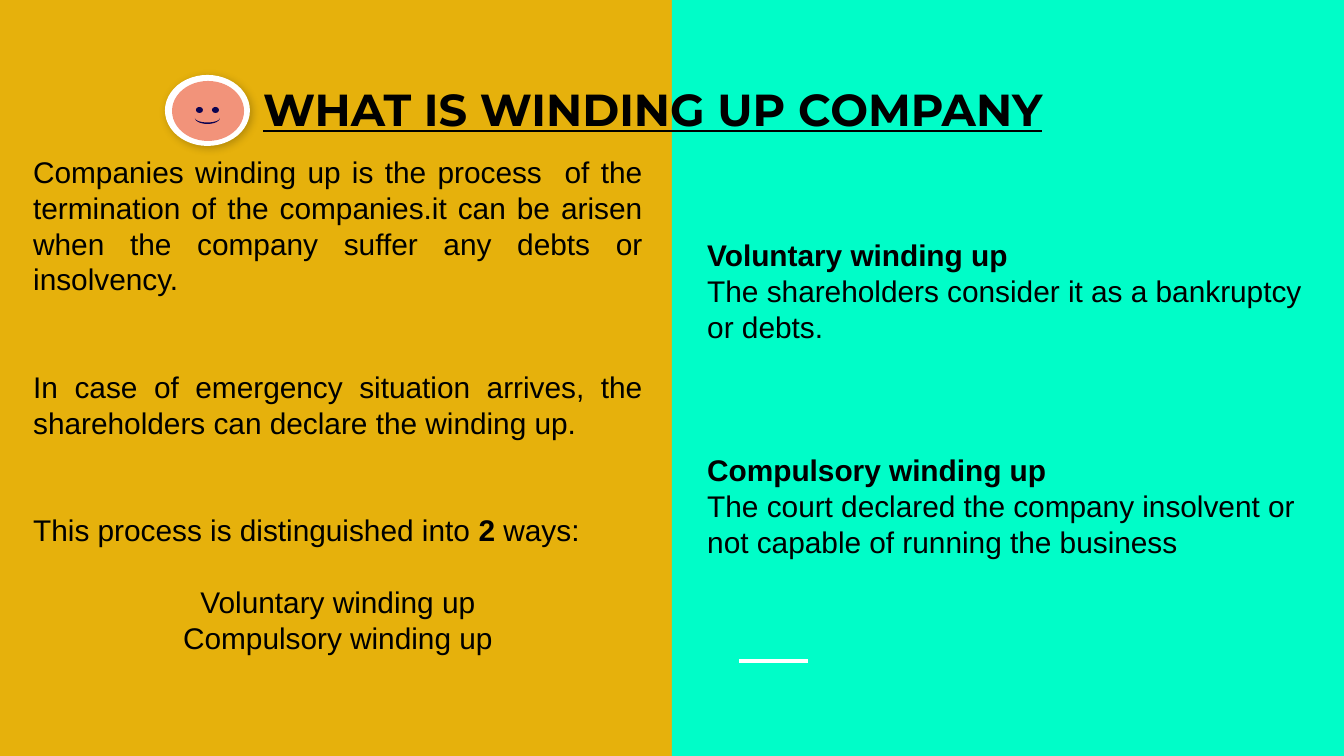
import math

import pptx
import pptx.dml.color
import pptx.enum.shapes
import pptx.enum.text
import pptx.oxml
import pptx.oxml.ns
import pptx.util

SCALE = 914400 / 134.4  # EMU per px
COLORS = {
    "gold": "E6B10C",
    "mint": "00FDC8",
    "black": "000000",
    "white": "FFFFFF",
    "salmon": "F2937A",
    "navy": "0C0351",
}
ALIGN = pptx.enum.text.PP_ALIGN
SHAPE = pptx.enum.shapes.MSO_SHAPE
LINE_PT = 19.2


def emu(*px):
    return [pptx.util.Emu(round(v * SCALE)) for v in px]


def color(name):
    return pptx.dml.color.RGBColor.from_string(COLORS[name])


class Deck:
    def __init__(self, width, height):
        self.prs = pptx.Presentation()
        self.prs.slide_width, self.prs.slide_height = emu(width, height)

    def slide(self, background):
        self.s = self.prs.slides.add_slide(self.prs.slide_layouts[6])
        self.shapes = self.s.shapes
        fill = self.s.background.fill
        fill.solid()
        fill.fore_color.rgb = color(background)

    def paint(self, sp, fill):
        sp.shadow.inherit = False
        sp.fill.solid()
        sp.fill.fore_color.rgb = color(fill)
        sp.line.fill.background()
        return sp

    def shape(self, kind, box, fill):
        return self.paint(self.shapes.add_shape(kind, *emu(*box)), fill)

    def polygon(self, points, fill):
        # Corners are kept to a tenth of a px
        points = [(round(x * 10), round(y * 10)) for x, y in points]
        builder = self.shapes.build_freeform(*points[0], scale=SCALE / 10)
        builder.add_line_segments(points[1:], close=True)
        return self.paint(builder.convert_to_shape(), fill)

    def line(self, start, end, stroke, width):
        sp = self.shapes.add_connector(
            pptx.enum.shapes.MSO_CONNECTOR.STRAIGHT, *emu(*start, *end))
        sp.line.color.rgb = color(stroke)
        sp.line.width = pptx.util.Pt(width)
        sp._element.spPr.append(pptx.oxml.parse_xml(
            f"<a:effectLst {pptx.oxml.ns.nsdecls('a')}/>"))

    def drop_shadow(self, sp):
        effects = sp._element.spPr.find(pptx.oxml.ns.qn("a:effectLst"))
        effects.append(pptx.oxml.parse_xml(
            f'<a:outerShdw {pptx.oxml.ns.nsdecls("a")} blurRad="57150" '
            'dist="19050" dir="2940000" algn="bl" rotWithShape="0">'
            f'<a:srgbClr val="{COLORS["black"]}"><a:alpha val="21000"/>'
            '</a:srgbClr></a:outerShdw>'))

    def text_frame(self, box, wrap):
        tf = self.shapes.add_textbox(*emu(*box)).text_frame
        tf.word_wrap = wrap
        tf.auto_size = pptx.enum.text.MSO_AUTO_SIZE.SHAPE_TO_FIT_TEXT
        return tf

    def style(self, font, name, size):
        font.name = name
        font.size = pptx.util.Pt(size)
        font.color.rgb = color("black")

    def title(self, box, text):
        p = self.text_frame(box, False).paragraphs[0]
        p.text = text
        self.style(p.font, "Montserrat", 24)
        p.font.bold = p.font.underline = True

    def body(self, box, paragraphs):
        """Each paragraph: (lines of gap above, alignment, [(text, bold), ...])."""
        tf = self.text_frame(box, True)
        for i, (gap, align, runs) in enumerate(paragraphs):
            p = tf.add_paragraph() if i else tf.paragraphs[0]
            p.alignment = align
            p.line_spacing = pptx.util.Pt(LINE_PT)
            if gap:
                p.space_before = pptx.util.Pt(gap * LINE_PT)
            self.style(p.font, "Arial", 16)
            for text, bold in runs:
                r = p.add_run()
                r.text = text
                r.font.bold = bold

    def smiley(self):
        self.shapes = self.s.shapes.add_group_shape().shapes
        self.drop_shadow(self.shape(SHAPE.OVAL, (165, 75, 85, 71), "white"))
        self.shape(SHAPE.OVAL, (172, 81, 72, 60), "salmon")
        for x in (196, 212):
            self.shape(SHAPE.OVAL, (x, 107, 7, 6), "navy")
        # Mouth: a thin crescent between two arcs
        angles = [math.pi * i / 20 for i in range(21)]
        arcs = [(a, 6) for a in angles] + [(a, 4.5) for a in reversed(angles)]
        self.polygon([(207.5 - 12.5 * math.cos(a), 118 + depth * math.sin(a))
                      for a, depth in arcs], "navy")
        self.shapes = self.s.shapes


def main():
    deck = Deck(1344, 756)
    deck.slide("gold")

    # Right half and accent line
    deck.shape(SHAPE.RECTANGLE, (672, 0, 672, 756), "mint")
    deck.line((739, 661), (808, 661), "white", 2.25)

    # Kinds of winding up
    deck.body((694, 230, 626, 339), [
        (0, ALIGN.LEFT, [("Voluntary winding up", True)]),
        (0, ALIGN.LEFT, [("The shareholders consider it as a bankruptcy or debts.", False)]),
        (3, ALIGN.LEFT, [("Compulsory winding up", True)]),
        (0, ALIGN.LEFT, [("The court declared the company insolvent or not capable "
                          "of running the business", False)]),
    ])

    # Definition
    deck.body((20, 147, 636, 520), [
        (0, ALIGN.JUSTIFY, [("Companies winding up is the process  of the termination of "
                             "the companies.it can be arisen when the company suffer any "
                             "debts or insolvency.", False)]),
        (2, ALIGN.JUSTIFY, [("In case of emergency situation arrives, the shareholders "
                             "can declare the winding up.", False)]),
        (2, ALIGN.JUSTIFY, [("This process is distinguished into ", False),
                            ("2 ", True), ("ways:", False)]),
        (1, ALIGN.CENTER, [("Voluntary winding up", False)]),
        (0, ALIGN.CENTER, [("Compulsory winding up", False)]),
    ])

    # Heading with smiley
    deck.title((250, 75, 844, 67), "WHAT IS WINDING UP COMPANY")
    deck.smiley()

    deck.prs.save("out.pptx")


if __name__ == "__main__":
    main()
